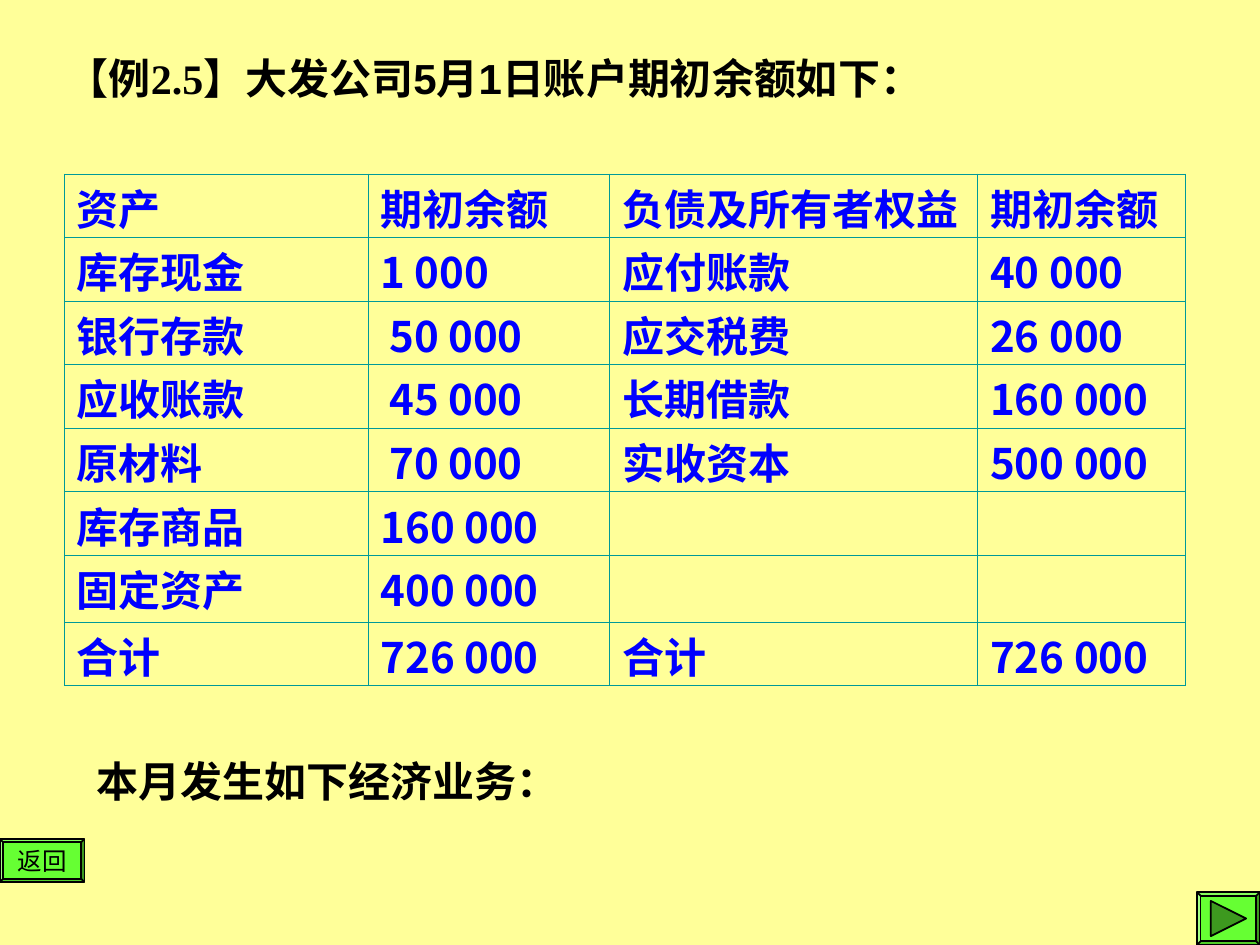
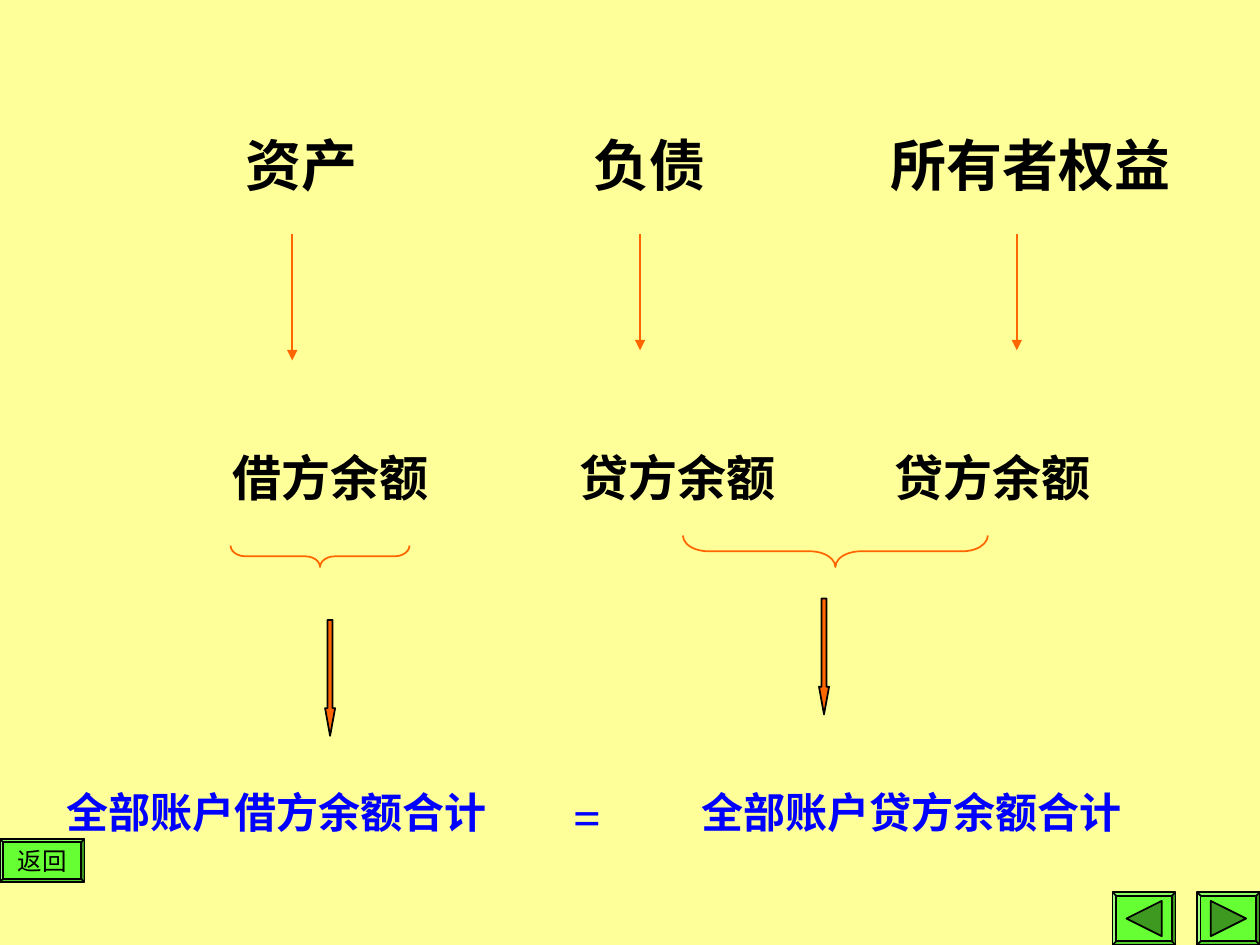
from dataclasses import dataclass

from pptx import Presentation
from pptx.dml.color import RGBColor
from pptx.enum.shapes import MSO_CONNECTOR, MSO_SHAPE
from pptx.enum.text import MSO_ANCHOR, MSO_AUTO_SIZE, PP_ALIGN
from pptx.oxml.ns import qn
from pptx.util import Inches, Pt
from lxml import etree

LINE = MSO_CONNECTOR.STRAIGHT
BEVEL, BRACE, ARROW = MSO_SHAPE.BEVEL, MSO_SHAPE.LEFT_BRACE, MSO_SHAPE.DOWN_ARROW
LEFT, CENTER = PP_ALIGN.LEFT, PP_ALIGN.CENTER
TOP, MIDDLE = MSO_ANCHOR.TOP, MSO_ANCHOR.MIDDLE
FIXED = MSO_AUTO_SIZE.NONE


@dataclass(frozen=True)
class Theme:
    paper: str = "FFFF99"
    ink: str = "000000"
    blue: str = "0000FF"
    orange: str = "FF6600"
    green: str = "66FF33"
    leaf: str = "3D991F"
    grid: str = "009999"
    serif: str = "Times New Roman"
    sans: str = "Arial"
    han: str = "Noto Sans CJK SC"
    small: int = 14
    body: int = 24
    mid: int = 28
    large: int = 32
    pitch: int = 32


T = Theme()

ROWS = [
    ("资产", "期初余额", "负债及所有者权益", "期初余额"),
    ("库存现金", "1 000", "应付账款", "40 000"),
    ("银行存款", "50 000", "应交税费", "26 000"),
    ("应收账款", "45 000", "长期借款", "160 000"),
    ("原材料", "70 000", "实收资本", "500 000"),
    ("库存商品", "160 000", "", ""),
    ("固定资产", "400 000", "", ""),
    ("合计", "726 000", "合计", "726 000"),
]


def rgb(code):
    return RGBColor.from_string(code)


def inches(box):
    return [Inches(n) for n in box]


def write(frame, *parts, size=T.body, color=T.ink, bold=True, align=LEFT, anchor=TOP,
          pitch=None):
    """Fill a text frame with one paragraph of (text, font) parts."""
    frame.auto_size = FIXED
    frame.vertical_anchor = anchor
    para = frame.paragraphs[0]
    para.alignment = align
    if pitch:
        para.line_spacing = Pt(pitch)
    for text, face in parts:
        run = para.add_run()
        run.text = text
        font = run.font
        font.size, font.bold, font.name = Pt(size), bold, face
        font.color.rgb = rgb(color)
        etree.SubElement(run._r.rPr, qn("a:ea"), typeface=T.han)


def label(slide, box, *parts, **form):
    frame = slide.shapes.add_textbox(*inches(box)).text_frame
    frame.word_wrap = True
    write(frame, *parts, **form)


def paint(shape, fill, line):
    shape.shadow.inherit = False
    if fill:
        shape.fill.solid()
        shape.fill.fore_color.rgb = rgb(fill)
    else:
        shape.fill.background()
    shape.line.color.rgb = rgb(line)
    shape.line.width = Pt(1)


def draw(slide, kind, box, fill, line, *adjust):
    shape = slide.shapes.add_shape(kind, *inches(box))
    paint(shape, fill, line)
    for i, value in enumerate(adjust):
        shape.adjustments[i] = value
    return shape


def home(slide):
    button = draw(slide, BEVEL, (0, 6.66, 0.67, 0.34), T.green, T.ink, 0.07)
    frame = button.text_frame
    frame.word_wrap = False
    write(frame, ("返回", T.serif), size=T.small, bold=False, align=CENTER, anchor=MIDDLE)


def turn(slide, left, way):
    """Page button at left; way is 1 for next and -1 for previous."""
    top, wide, high = 7.08, 0.5, 0.42
    draw(slide, BEVEL, (left, top, wide, high), T.green, T.ink, 0.07)
    x, y = left + wide / 2, top + high / 2
    back, tip = x - way * 0.14, x + way * 0.14
    path = slide.shapes.build_freeform(Inches(back), Inches(y - 0.14))
    path.add_line_segments([inches((tip, y)), inches((back, y + 0.14))])
    paint(path.convert_to_shape(), T.leaf, T.ink)


def pointer(slide, x, top, end):
    line = slide.shapes.add_connector(LINE, *inches((x, top, x, end)))
    line.line.color.rgb = rgb(T.orange)
    line.line.width = Pt(1)
    props = line._element.spPr
    etree.SubElement(props.find(qn("a:ln")), qn("a:tailEnd"), type="triangle")
    etree.SubElement(props, qn("a:effectLst"))


def brace(slide, left, top, wide, high):
    """Brace that points down and spans the given box."""
    x, y = left + wide / 2, top + high / 2
    box = (x - high / 2, y - wide / 2, high, wide)
    shape = draw(slide, BRACE, box, None, T.orange, wide / 12 / high, 0.5)
    shape.rotation = 270


def border(cell):
    props = cell._tc.get_or_add_tcPr()
    for i, side in enumerate(("lnL", "lnR", "lnT", "lnB")):
        line = etree.Element(qn("a:" + side), w=str(Pt(0.45)))
        fill = etree.SubElement(line, qn("a:solidFill"))
        etree.SubElement(fill, qn("a:srgbClr"), val=T.grid)
        props.insert(i, line)


def ledger(slide, left, top):
    widths = (2.41, 1.92, 2.92, 1.65)
    heights = [0.5] * 6 + [0.53, 0.5]
    box = inches((left, top, sum(widths), sum(heights)))
    table = slide.shapes.add_table(len(ROWS), len(widths), *box).table
    table.first_row = table.horz_banding = False
    for col, wide in zip(table.columns, widths):
        col.width = Inches(wide)
    for row, high, texts in zip(table.rows, heights, ROWS):
        row.height = Inches(high)
        for i, (cell, text) in enumerate(zip(row.cells, texts)):
            cell.fill.background()
            border(cell)
            inset = i == 1 and len(text) == 6
            cell.margin_left = Inches(0.17 if inset else 0.1)
            cell.margin_top, cell.margin_bottom = Inches(0.06), 0
            if text:
                write(cell.text_frame, (text, T.han), color=T.blue, pitch=T.pitch)


def opening(slide):
    title = slide.shapes.title
    title.left, title.top, title.width, title.height = inches((0.43, 0.37, 8.74, 0.5))
    write(title.text_frame, ("【例2.5】", T.serif),
          ("大发公司5月1日账户期初余额如下：", T.sans))
    ledger(slide, 0.51, 1.38)
    label(slide, (0.67, 5.95, 5.91, 0.5), ("本月发生", T.serif), ("如下经济业务：", T.sans))
    home(slide)
    turn(slide, 9.5, 1)


def balance(slide):
    columns = [
        ("资产", 1.85, 2.32, 2.86, "借方余额", 1.75),
        ("负债", 4.61, 5.08, 2.78, "贷方余额", 4.5),
        ("所有者权益", 6.97, 8.07, 2.78, "贷方余额", 7),
    ]
    for name, left, x, end, side, start in columns:
        label(slide, (left, 0.99, 2.67, 0.64), (name, T.serif), size=T.large)
        pointer(slide, x, 1.86, end)
        label(slide, (start, 3.5, 2.33, 0.57), (side, T.serif), size=T.mid)
    brace(slide, 1.83, 4.33, 1.42, 0.17)
    brace(slide, 5.42, 4.25, 2.42, 0.25)
    for left, top in ((2.58, 4.92), (6.5, 4.75)):
        draw(slide, ARROW, (left, top, 0.08, 0.92), T.orange, T.ink, 0.5, 2.75)
    sums = [
        ("全部账户借方余额合计", 0.43, 3.75, T.body),
        ("=", 4.45, 0.83, T.mid),
        ("全部账户贷方余额合计", 5.47, 3.75, T.body),
    ]
    for text, left, wide, size in sums:
        label(slide, (left, 6.19, wide, 0.57), (text, T.serif), size=size, color=T.blue)
    home(slide)
    turn(slide, 8.83, -1)
    turn(slide, 9.5, 1)


def main():
    deck = Presentation()
    deck.slide_width, deck.slide_height = inches((10, 7.5))
    paper = deck.slide_master.background.fill
    paper.solid()
    paper.fore_color.rgb = rgb(T.paper)
    for layout, build in ((5, opening), (6, balance)):
        build(deck.slides.add_slide(deck.slide_layouts[layout]))
    deck.save("out.pptx")


if __name__ == "__main__":
    main()
